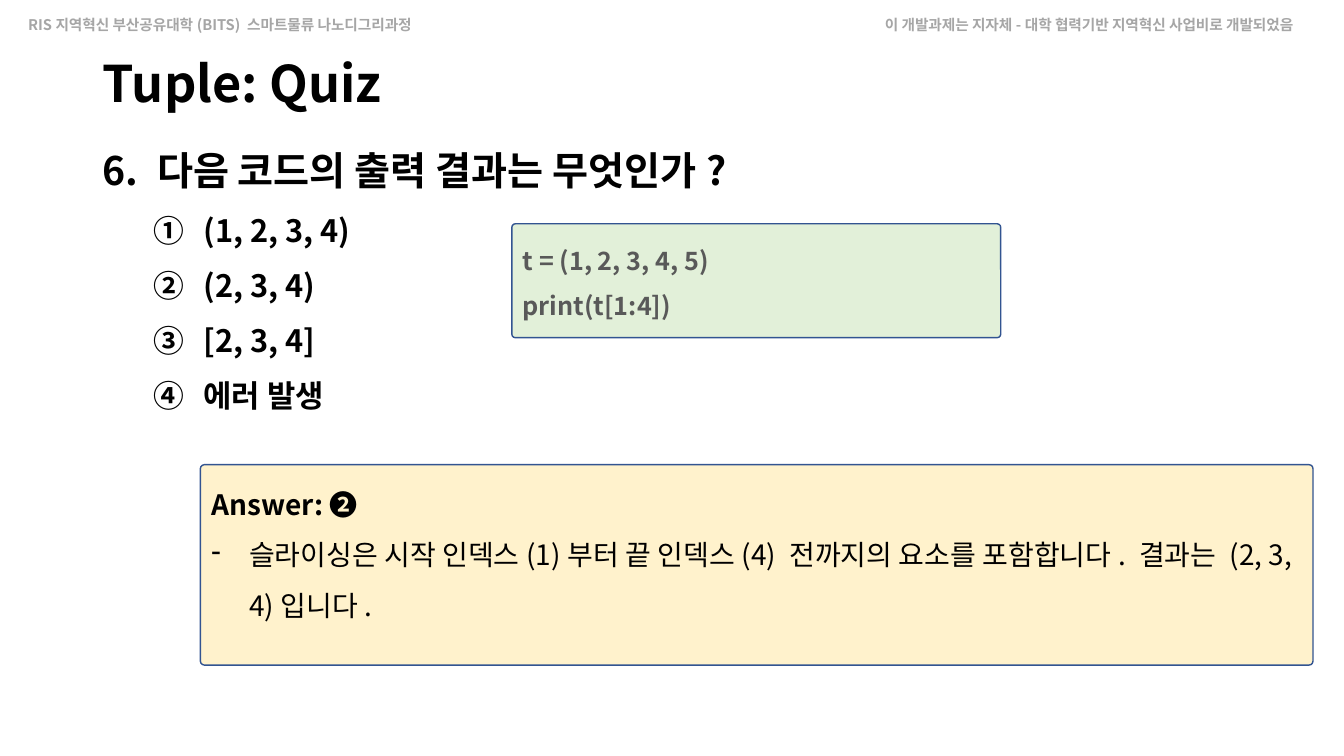
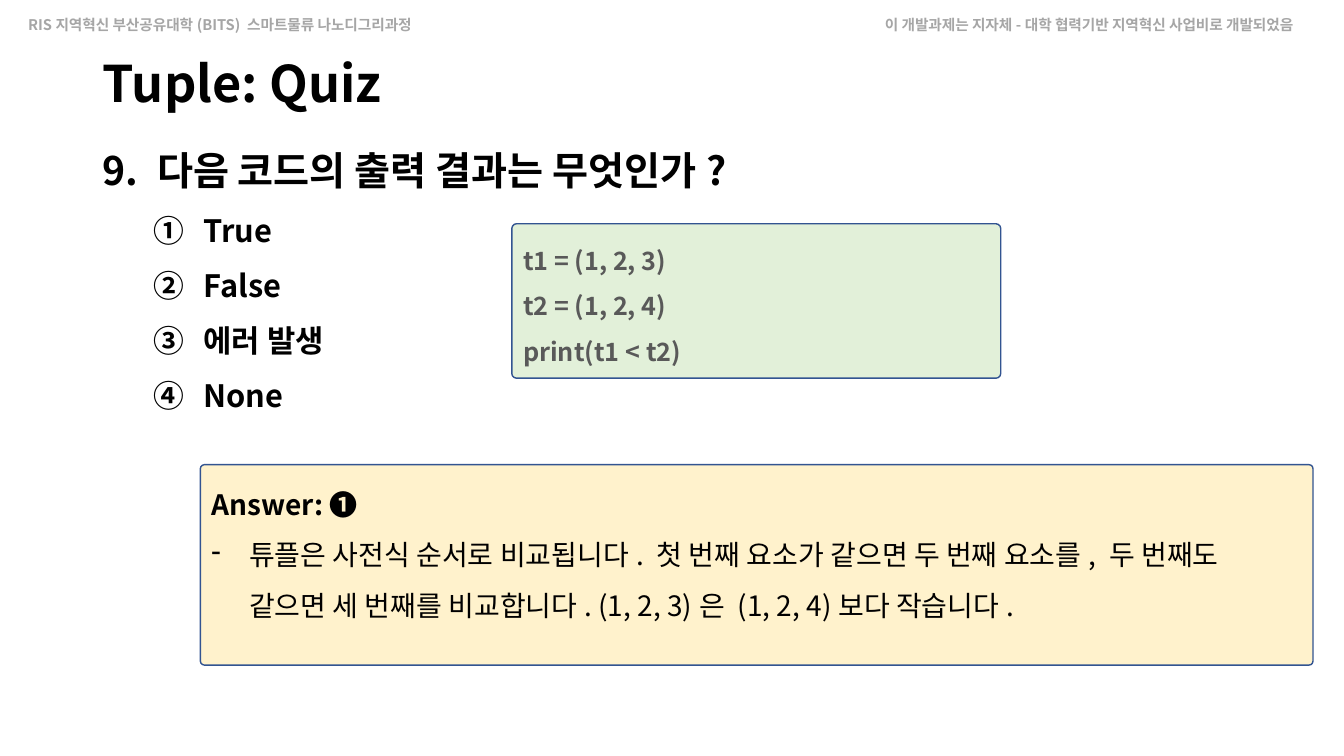
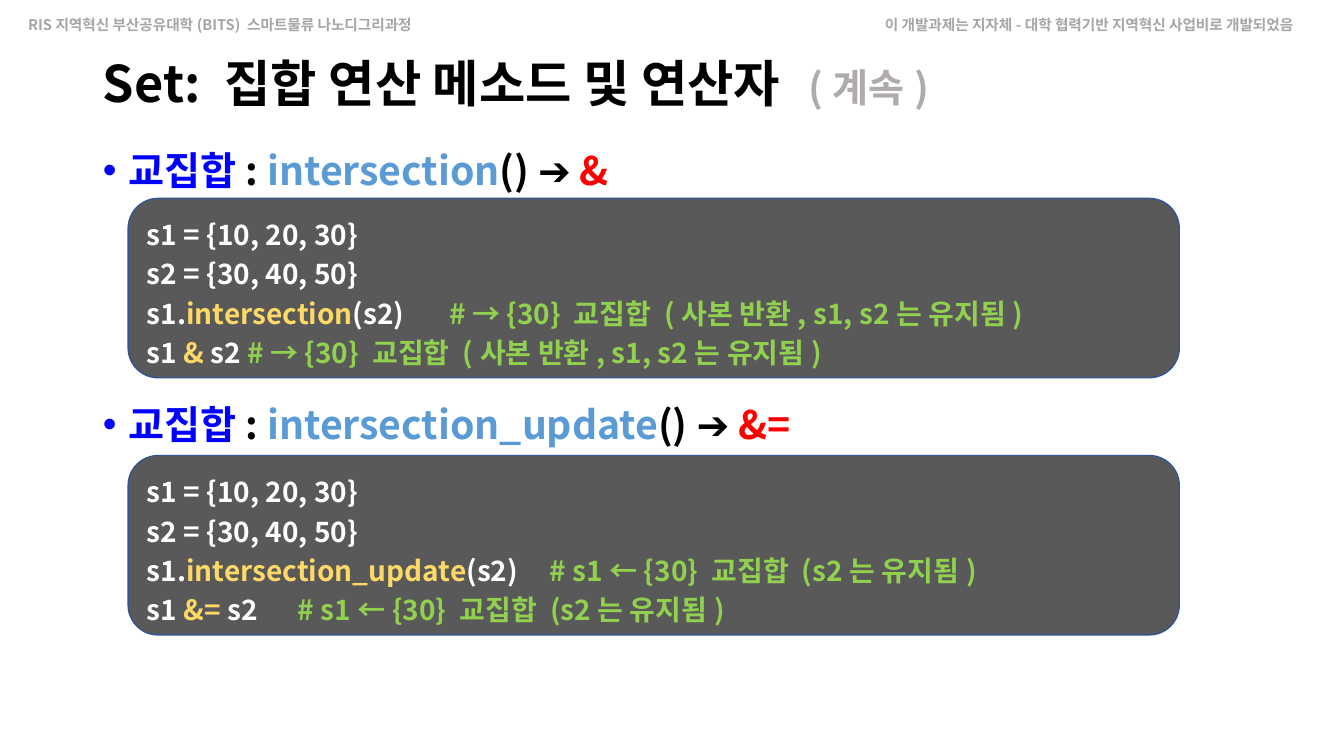
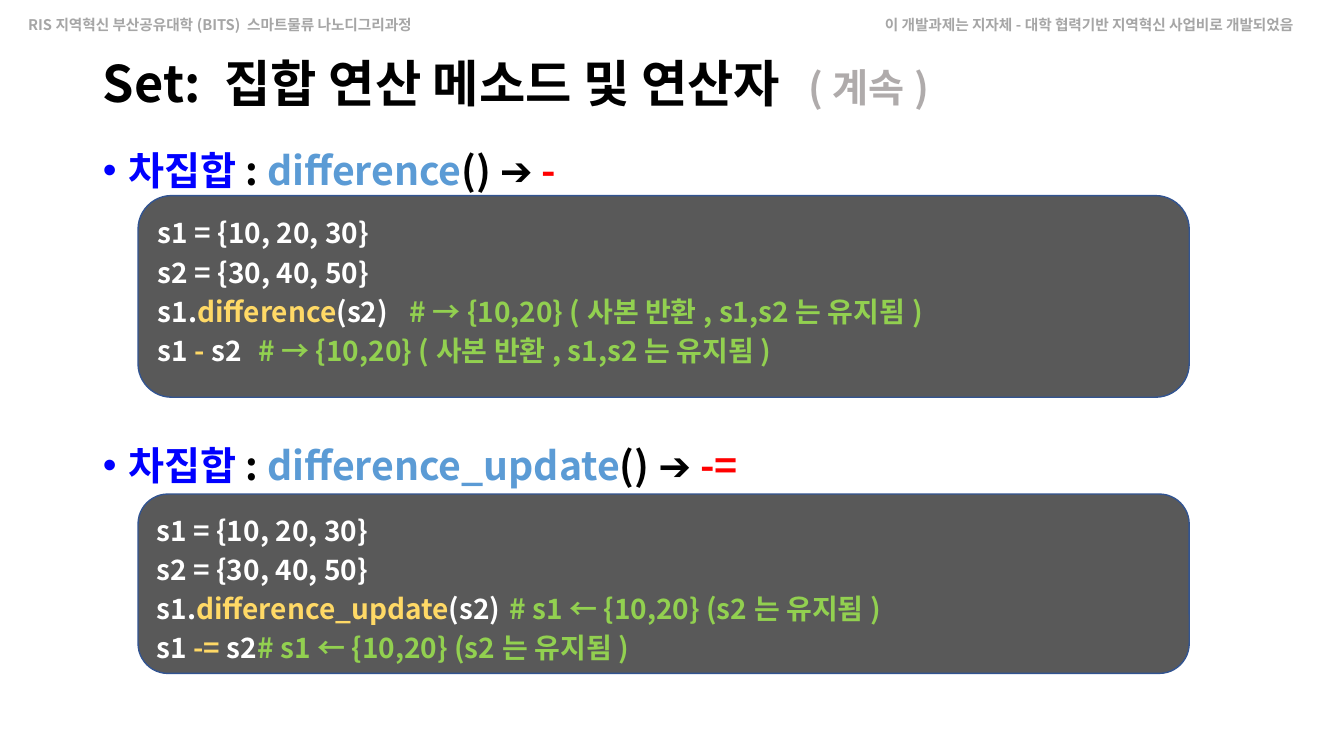
from lxml import etree
from pptx import Presentation
from pptx.dml.color import RGBColor
from pptx.enum.shapes import MSO_SHAPE
from pptx.enum.text import MSO_ANCHOR, MSO_AUTO_SIZE, PP_ALIGN
from pptx.oxml.ns import qn
from pptx.util import Cm, Pt

ROUND = MSO_SHAPE.ROUNDED_RECTANGLE
TOP, MIDDLE = MSO_ANCHOR.TOP, MSO_ANCHOR.MIDDLE
FIXED = MSO_AUTO_SIZE.NONE
LEFT = PP_ALIGN.LEFT

FONT = "Noto Sans CJK KR"
BLACK = RGBColor(0x00, 0x00, 0x00)
WHITE = RGBColor(0xFF, 0xFF, 0xFF)
SILVER = RGBColor(0xA6, 0xA6, 0xA6)
GRAY = RGBColor(0xAF, 0xAB, 0xAB)
DARK = RGBColor(0x59, 0x59, 0x59)
NAVY = RGBColor(0x32, 0x54, 0x91)
BLUE = RGBColor(0x00, 0x00, 0xFF)
SKY = RGBColor(0x5B, 0x9B, 0xD5)
RED = RGBColor(0xFF, 0x00, 0x00)
GOLD = RGBColor(0xFF, 0xD9, 0x66)
LIME = RGBColor(0x92, 0xD0, 0x50)
CREAM = RGBColor(0xFF, 0xF2, 0xCC)
MINT = RGBColor(0xE2, 0xF0, 0xD9)

NOTES = (
    (0.46, 10.77, False, "RIS지역혁신 부산공유대학(BITS) 스마트물류 나노디그리과정"),
    (22.05, 11.84, True, "이 개발과제는 지자체-대학 협력기반 지역혁신 사업비로 개발되었음"),
)


class Deck:
    """Holds the style and the current slide."""

    def __init__(self):
        self.prs = Presentation()
        self.prs.slide_width, self.prs.slide_height = Cm(33.87), Cm(19.05)
        self.layout = self.prs.slide_layouts[1]
        self.slide = None

    def place(self, shape, left, top, width, height):
        shape.left, shape.top = Cm(left), Cm(top)
        shape.width, shape.height = Cm(width), Cm(height)

    def para(self, frame, parts, size, color=BLACK, bold=True, lines=1.0,
             before=0, mark=None, left=0, hang=0, level=0, tab=None):
        """Add a paragraph; parts is a string or (text, colour[, size]) runs.

        mark is the tag, attribute and value of the bullet.
        """
        para = frame.paragraphs[0]
        if para.runs:
            para = frame.add_paragraph()
        para.level, para.alignment = level, LEFT
        para.line_spacing, para.space_before = lines, Pt(before)
        para.space_after = Pt(0)
        props = para._p.get_or_add_pPr()
        props.set("marL", str(Cm(left)))
        props.set("indent", str(Cm(-hang)))
        if mark:
            tag, key, value = mark
            etree.SubElement(props, qn(tag), {key: value})
        else:
            etree.SubElement(props, qn("a:buNone"))
        if tab:
            stops = etree.SubElement(props, qn("a:tabLst"))
            etree.SubElement(stops, qn("a:tab"), pos=str(Cm(tab)), algn="l")
        font = para.font
        font.name, font.size, font.bold = FONT, Pt(size), bold
        font.color.rgb = color
        etree.SubElement(props.find(qn("a:defRPr")), qn("a:ea"), typeface=FONT)
        if isinstance(parts, str):
            parts = [(parts, None)]
        for text, tint, *scale in parts:
            run = para.add_run()
            run.text = text
            if tint is not None:
                run.font.color.rgb = tint
            if scale:
                run.font.size = Pt(scale[0])

    def band(self):
        """Put the header notes on the layout, for all slides."""
        for left, width, wrap, text in NOTES:
            box = self.slide.shapes.add_textbox(
                Cm(left), Cm(0.28), Cm(width), Cm(0.71))
            box.text_frame.word_wrap = wrap
            self.para(box.text_frame, text, 10.5, SILVER)
            self.layout.shapes.element.append(box.element)

    def start(self, title, width, span):
        """Add a slide with its title; return the frame of its body."""
        first = self.slide is None
        self.slide = self.prs.slides.add_slide(self.layout)
        if first:
            self.band()
        head, body = self.slide.placeholders
        self.place(head, 2.34, 1.02, width, 2.29)
        self.place(body, 2.34, 2.97, span, 16.08)
        for shape, anchor in ((head, MIDDLE), (body, TOP)):
            frame = shape.text_frame
            frame.auto_size, frame.vertical_anchor = FIXED, anchor
        self.para(head.text_frame, title, 36, lines=0.9, tab=18.25)
        return body.text_frame

    def panel(self, left, top, width, height, fill, curve=None):
        """Add a rounded panel; return its text frame."""
        shape = self.slide.shapes.add_shape(
            ROUND, Cm(left), Cm(top), Cm(width), Cm(height))
        shape.shadow.inherit = False
        shape.fill.solid()
        shape.fill.fore_color.rgb = fill
        shape.line.color.rgb, shape.line.width = NAVY, Pt(1)
        if curve is not None:
            shape.adjustments[0] = curve
        frame = shape.text_frame
        frame.word_wrap, frame.vertical_anchor = True, TOP
        return frame

    def quiz(self, number, picks, code, height, answer, reason):
        body = self.start("Tuple: Quiz", 29.21, 31.19)
        self.para(body, f"{number}. 다음 코드의 출력 결과는 무엇인가?", 28, lines=1.5)
        for pick in picks:
            self.para(body, pick, 22, lines=1.3, before=5, level=1,
                      left=2.54, hang=1.27,
                      mark=("a:buAutoNum", "type", "circleNumDbPlain"))
        frame = self.panel(5.05, 11.71, 28.04, 5.05, CREAM, 0.02)
        self.para(frame, f"Answer: {answer}", 20, lines=1.5)
        self.para(frame, reason, 20, bold=False, lines=1.5, left=0.95,
                  hang=0.95, mark=("a:buChar", "char", "-"))
        frame = self.panel(12.9, 5.64, 12.32, height, MINT, 0.03)
        for line in code:
            self.para(frame, line, 18, DARK, lines=1.5)

    def method(self, name, left, gap, items):
        """Show set methods, each a bullet and a code panel."""
        title = [("Set: 집합 연산 메소드 및 연산자\t", None), ("(계속)", GRAY, 28)]
        body = self.start(title, 31.06, 30.68)
        for pos, (call, sign, note, top, height, tab) in enumerate(items):
            parts = [(name, BLUE), (": ", BLACK), (call, SKY),
                     ("() ➔ ", BLACK), (sign, RED)]
            self.para(body, parts, 28, lines=1.5, before=gap * pos,
                      left=0.64, hang=0.64, mark=("a:buChar", "char", "•"))
            self.code(call, sign, note, (left, top, 26.49, height), tab)

    def code(self, call, sign, note, area, tab):
        frame = self.panel(*area, DARK)
        for line in (
            "s1 = {10, 20, 30}",
            "s2 = {30, 40, 50}",
            [("s1.", WHITE), (call, GOLD), ("(s2)\t", WHITE), (note, LIME)],
            [("s1 ", WHITE), (sign, GOLD), (" s2\t", WHITE), (note, LIME)],
        ):
            self.para(frame, line, 20, WHITE, lines=Pt(28), tab=tab)


def main():
    deck = Deck()
    deck.quiz(
        6, ("(1, 2, 3, 4)", "(2, 3, 4)", "[2, 3, 4]", "에러 발생"),
        ("t = (1, 2, 3, 4, 5)", "print(t[1:4])"), 2.87, "❷",
        "슬라이싱은 시작 인덱스(1)부터 끝 인덱스(4) 전까지의 요소를 포함합니다. "
        "결과는 (2, 3, 4)입니다.")
    deck.quiz(
        9, ("True", "False", "에러 발생", "None"),
        ("t1 = (1, 2, 3)", "t2 = (1, 2, 4)", "print(t1 < t2)"), 3.89, "❶",
        "튜플은 사전식 순서로 비교됩니다. 첫 번째 요소가 같으면 두 번째 요소를, "
        "두 번째도 같으면 세 번째를 비교합니다. (1, 2, 3)은 (1, 2, 4)보다 작습니다.")
    deck.method("교집합", 3.23, 131, (
        ("intersection", "&", "# → {30} 교집합 (사본 반환, s1, s2는 유지됨)",
         5, 4.52, 7.62),
        ("intersection_update", "&=", "# s1 ← {30} 교집합 (s2는 유지됨)",
         11.48, 4.52, 10.16)))
    deck.method("차집합", 3.48, 160, (
        ("difference", "-", "# → {10,20} (사본 반환, s1,s2는 유지됨)",
         4.93, 5.08, 7.62),
        ("difference_update", "-=", "# s1 ← {10,20} (s2는 유지됨)",
         12.45, 4.52, 10.16)))
    deck.prs.save("out.pptx")


if __name__ == "__main__":
    main()
